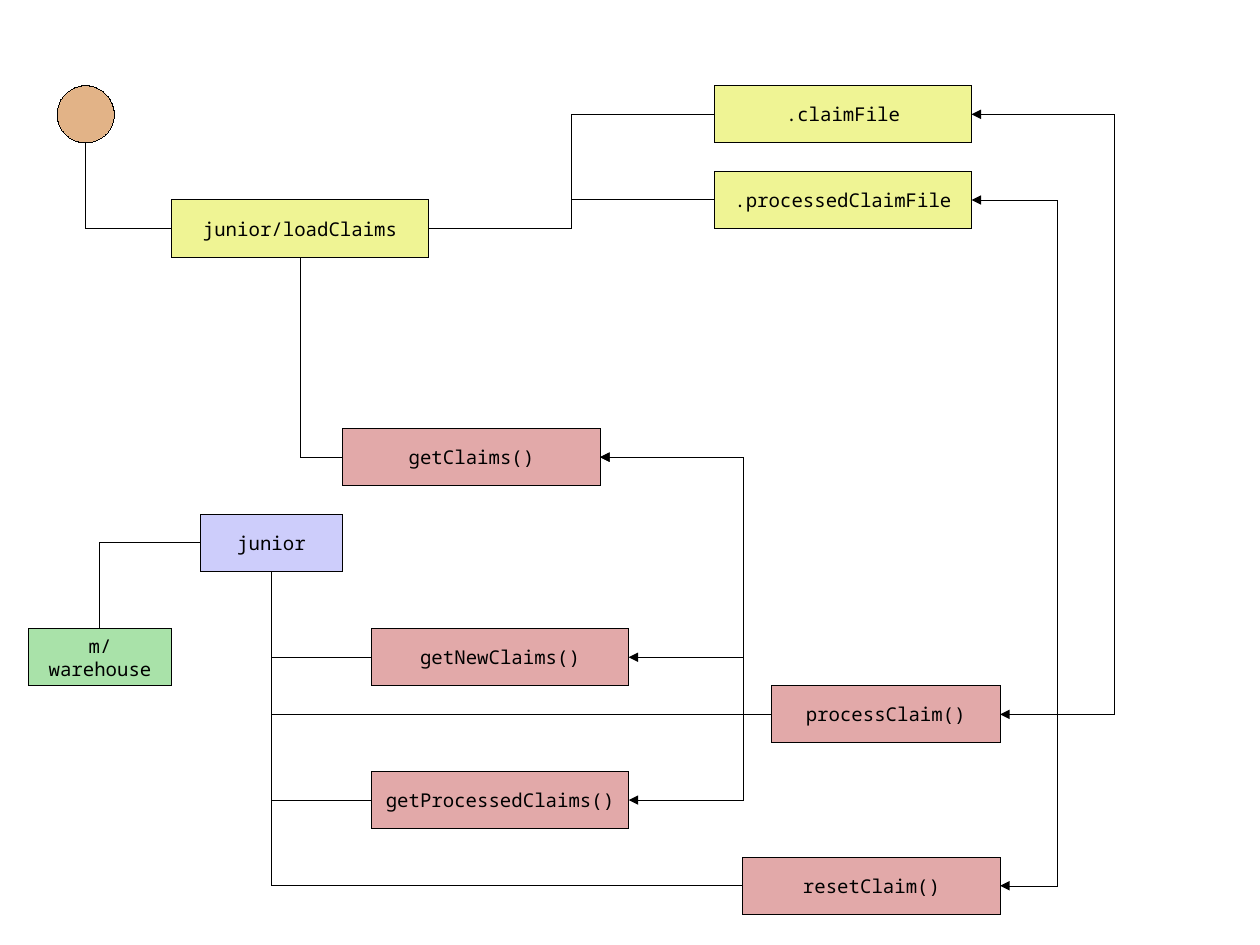
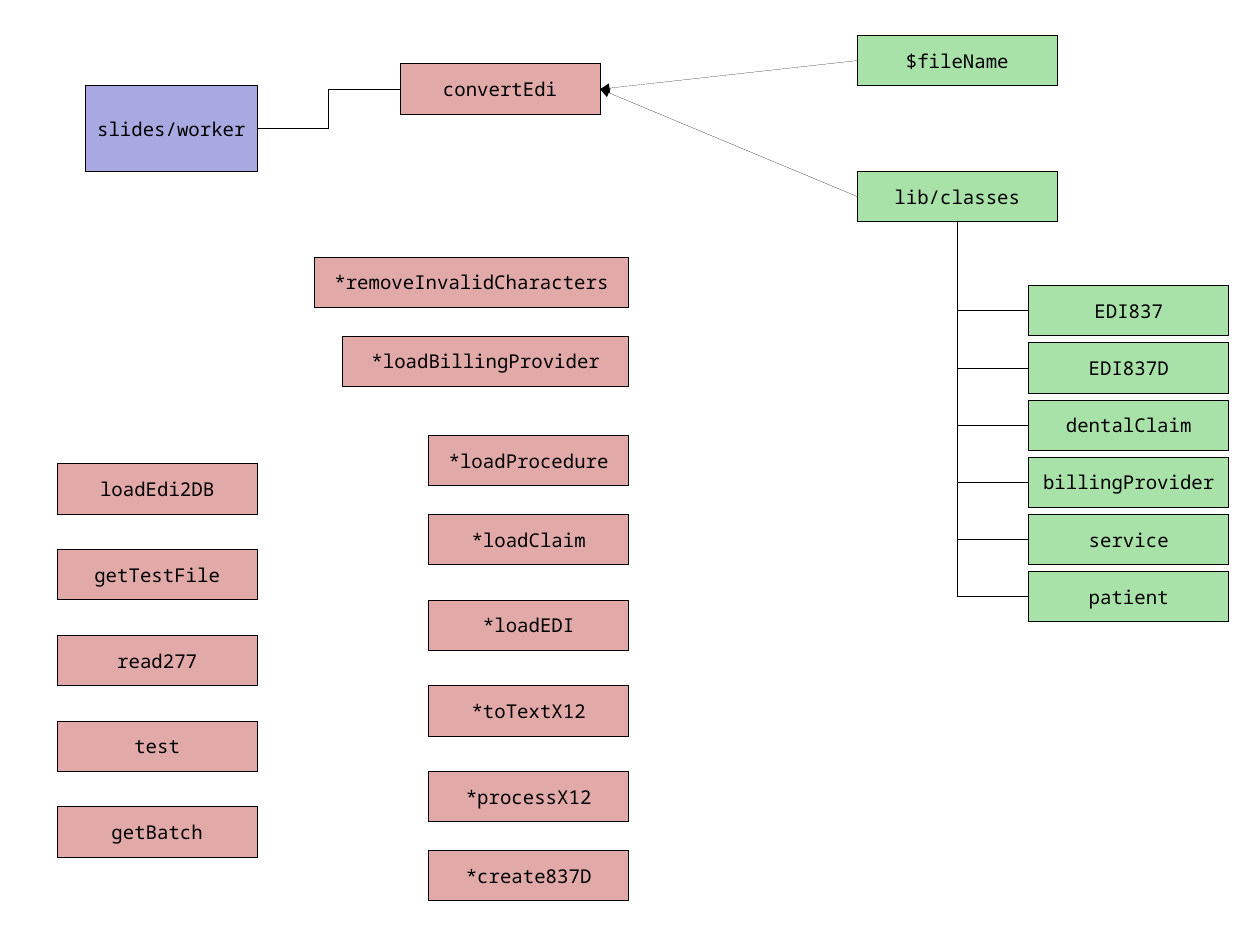
from dataclasses import dataclass

from lxml import etree
from pptx import Presentation
from pptx.dml.color import RGBColor
from pptx.enum.shapes import MSO_CONNECTOR, MSO_SHAPE
from pptx.enum.text import MSO_ANCHOR, PP_ALIGN
from pptx.oxml.ns import qn
from pptx.util import Inches, Pt

RECTANGLE = MSO_SHAPE.RECTANGLE
OVAL = MSO_SHAPE.OVAL
STRAIGHT = MSO_CONNECTOR.STRAIGHT
ELBOW = MSO_CONNECTOR.ELBOW
MIDDLE = MSO_ANCHOR.MIDDLE
CENTER = PP_ALIGN.CENTER
TOP, LEFT, BOTTOM, RIGHT = range(4)
OVAL_BOTTOM = "4"


@dataclass(frozen=True)
class Theme:
    font: str = "Noto Sans Mono"
    size: int = 12
    line_width: str = "0"
    ink: str = "000000"
    user: str = "E2B387"
    file: str = "EFF494"
    method: str = "E2A9A9"
    model: str = "CDCDFB"
    worker: str = "A9A9E2"
    library: str = "A9E2A9"


theme = Theme()
ink = RGBColor.from_string(theme.ink)


def add_box(slide, text, left, top, width, height=0.5, fill=theme.method, kind=RECTANGLE):
    shape = slide.shapes.add_shape(
        kind, Inches(left), Inches(top), Inches(width), Inches(height)
    )
    shape.shadow.inherit = False
    shape.fill.solid()
    shape.fill.fore_color.rgb = RGBColor.from_string(fill)
    shape.line.color.rgb = ink
    shape._element.spPr.find(qn("a:ln")).set("w", theme.line_width)
    if text:
        frame = shape.text_frame
        frame.word_wrap = True
        frame.vertical_anchor = MIDDLE
        paragraph = frame.paragraphs[0]
        paragraph.alignment = CENTER
        run = paragraph.add_run()
        run.text = text
        run.font.name = theme.font
        run.font.size = Pt(theme.size)
        run.font.color.rgb = ink
    return shape


def join(slide, begin, begin_side, end, end_side, kind=ELBOW, corner=False, bend=None, arrows=()):
    connector = slide.shapes.add_connector(kind, 0, 0, 0, 0)
    connector.begin_connect(begin, begin_side)
    connector.end_connect(end, end_side)
    connector.line.color.rgb = ink
    properties = connector._element.spPr
    outline = properties.find(qn("a:ln"))
    outline.set("w", theme.line_width)
    geometry = properties.find(qn("a:prstGeom"))
    if corner:
        geometry.set("prst", "bentConnector2")
    if bend is not None:
        ratio = (Inches(bend) - connector.begin_x) / (connector.end_x - connector.begin_x)
        guide = etree.SubElement(geometry.find(qn("a:avLst")), qn("a:gd"))
        guide.set("name", "adj1")
        guide.set("fmla", f"val {round(ratio * 100000)}")
    for arrow in arrows:
        etree.SubElement(outline, qn(arrow)).set("type", "triangle")
    etree.SubElement(properties, qn("a:effectLst"))
    return connector


presentation = Presentation()
presentation.slide_width = Inches(28 / 2.54)
presentation.slide_height = Inches(21 / 2.54)
blank = presentation.slide_layouts[6]

slide = presentation.slides.add_slide(blank)
user = add_box(slide, "", 0.5, 0.75, 0.5, fill=theme.user, kind=OVAL)
load_claims = add_box(slide, "junior/loadClaims", 1.5, 1.75, 2.25, fill=theme.file)
get_claims = add_box(slide, "getClaims()", 3, 3.75, 2.25)
junior = add_box(slide, "junior", 1.75, 4.5, 1.25, fill=theme.model)
get_new = add_box(slide, "getNewClaims()", 3.25, 5.5, 2.25)
claim_file = add_box(slide, ".claimFile", 6.25, 0.75, 2.25, fill=theme.file)
get_processed = add_box(slide, "getProcessedClaims()", 3.25, 6.75, 2.25)
reset_claim = add_box(slide, "resetClaim()", 6.5, 7.5, 2.25)
process_claim = add_box(slide, "processClaim()", 6.75, 6, 2)
processed_file = add_box(slide, ".processedClaimFile", 6.25, 1.5, 2.25, fill=theme.file)
warehouse = add_box(slide, "m/warehouse", 0.25, 5.5, 1.25, fill=theme.library)

user_link = join(slide, load_claims, LEFT, user, BOTTOM, corner=True)
user_link._element.find(".//" + qn("a:endCxn")).set("idx", OVAL_BOTTOM)
join(slide, get_claims, LEFT, load_claims, BOTTOM, corner=True)
join(slide, junior, LEFT, warehouse, TOP, corner=True)
for method in (get_new, get_processed, reset_claim, process_claim):
    join(slide, method, LEFT, junior, BOTTOM, corner=True)
for data_file in (claim_file, processed_file):
    join(slide, load_claims, RIGHT, data_file, LEFT)
for begin, end, bend in (
    (claim_file, process_claim, 9.75),
    (processed_file, reset_claim, 9.25),
    (get_claims, get_new, 6.5),
    (get_claims, get_processed, 6.5),
):
    join(slide, begin, RIGHT, end, RIGHT, bend=bend, arrows=("a:headEnd", "a:tailEnd"))

slide = presentation.slides.add_slide(blank)
row_height = 0.44
row_width = 1.75
worker = add_box(slide, "slides/worker", 0.75, 0.75, 1.5, 0.75, fill=theme.worker)
convert = add_box(slide, "convertEdi", 3.5, 0.56, row_width, row_height)
join(slide, worker, RIGHT, convert, LEFT)

for row, name in enumerate(("loadEdi2DB", "getTestFile", "read277", "test", "getBatch")):
    add_box(slide, name, 0.5, 4.06 + 0.75 * row, row_width, row_height)

step_right = 5.5
for name, top, width in (
    ("*removeInvalidCharacters", 2.25, 2.75),
    ("*loadBillingProvider", 2.94, 2.5),
    ("*loadProcedure", 3.81, row_width),
    ("*loadClaim", 4.5, row_width),
    ("*loadEDI", 5.25, row_width),
    ("*toTextX12", 6, row_width),
    ("*processX12", 6.75, row_width),
    ("*create837D", 7.44, row_width),
):
    add_box(slide, name, step_right - width, top, width, row_height)

file_name = add_box(slide, "$fileName", 7.5, 0.31, row_width, row_height, fill=theme.library)
classes = add_box(slide, "lib/classes", 7.5, 1.5, row_width, row_height, fill=theme.library)
for source in (classes, file_name):
    join(slide, source, LEFT, convert, RIGHT, kind=STRAIGHT, arrows=("a:tailEnd",))

class_names = ("EDI837", "EDI837D", "dentalClaim", "billingProvider", "service", "patient")
for row, name in enumerate(class_names):
    member = add_box(slide, name, 9, 2.5 + 0.5 * row, row_width, row_height, fill=theme.library)
    join(slide, member, LEFT, classes, BOTTOM, corner=True)

presentation.save("out.pptx")
